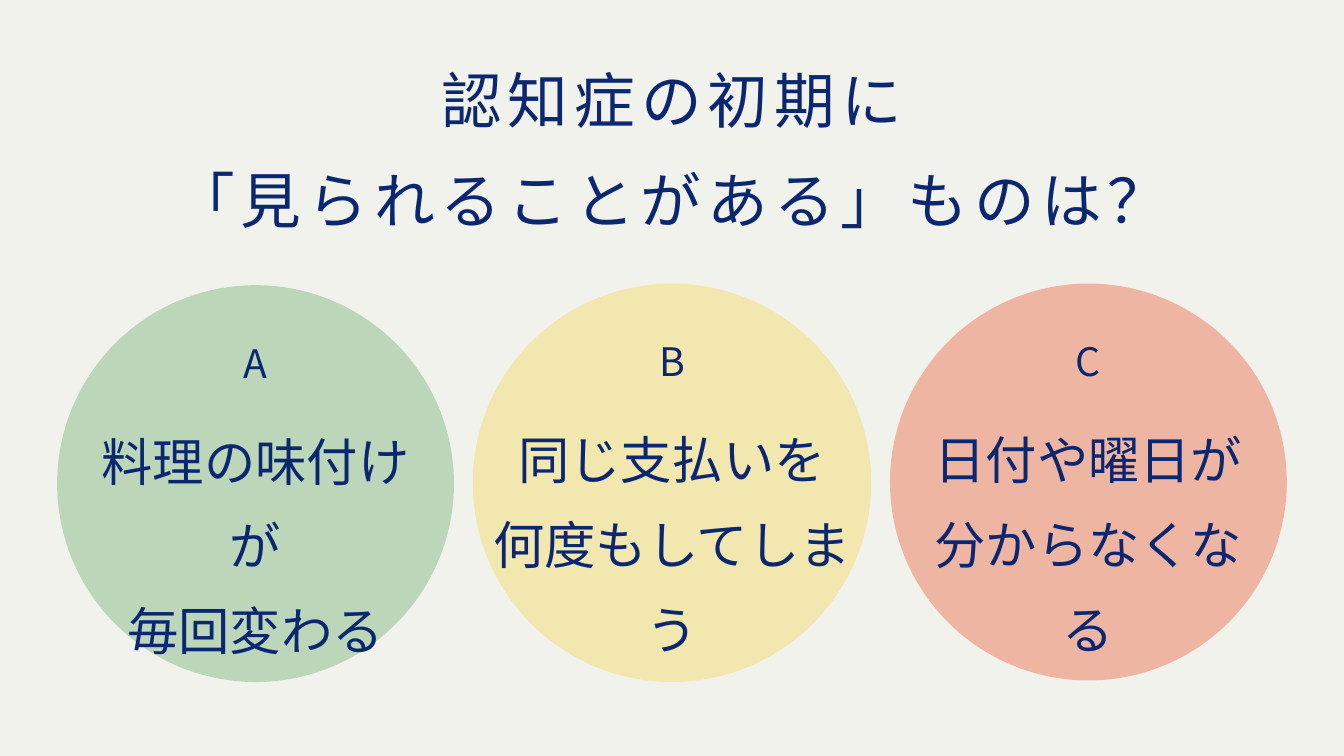
from lxml import etree
from pptx import Presentation
from pptx.dml.color import RGBColor
from pptx.enum.shapes import MSO_SHAPE
from pptx.enum.text import MSO_ANCHOR, MSO_AUTO_SIZE, PP_ALIGN
from pptx.oxml.ns import qn
from pptx.util import Cm, Pt

FONT = "Noto Sans CJK JP"
COLORS = {
    "background": "F2F2EC",
    "text": "0B2770",
    "green": "87BC8A",
    "yellow": "F2DD74",
    "red": "ED7A5B",
}
ANSWERS = [
    ("A", ["料理の味付けが", "毎回変わる"], "green", 10.78, 15, 13.36),
    ("B", ["同じ支払いを", "何度もしてしまう"], "yellow", 10.72, 15.06, 13.84),
    ("C", ["日付や曜日が", "分からなくなる"], "red", 10.72, 15, 13.36),
]
FIRST_CENTER = 9.66
PITCH = 15.74


def color(name):
    return RGBColor.from_string(COLORS[name])


def write_text(shape, lines, size, line_spacing, tracking=0):
    frame = shape.text_frame
    frame.word_wrap = True
    frame.auto_size = MSO_AUTO_SIZE.NONE
    frame.vertical_anchor = MSO_ANCHOR.TOP
    frame.margin_left = frame.margin_right = 0
    frame.margin_top = frame.margin_bottom = 0
    for index, line in enumerate(lines):
        paragraph = frame.paragraphs[0] if index == 0 else frame.add_paragraph()
        paragraph.alignment = PP_ALIGN.CENTER
        paragraph.line_spacing = Pt(line_spacing)
        paragraph.space_before = Pt(0)
        run = paragraph.add_run()
        run.text = line
        run.font.size = Pt(size)
        run.font.name = FONT
        run.font.color.rgb = color("text")
        properties = run.font._element
        etree.SubElement(properties, qn("a:ea")).set("typeface", FONT)
        if tracking:
            properties.set("spc", str(int(tracking * 100)))


def add_label(slide, lines, left, top, width, height, **text_format):
    box = slide.shapes.add_textbox(Cm(left), Cm(top), Cm(width), Cm(height))
    write_text(box, lines, **text_format)


def add_question(slide, lines, left, top, width, height):
    title = slide.shapes.title
    title.left, title.top = Cm(left), Cm(top)
    title.width, title.height = Cm(width), Cm(height)
    write_text(title, lines, size=65, line_spacing=107.2, tracking=6.5)


def add_answer(slide, letter, lines, fill, center, top, diameter, text_width):
    circle = slide.shapes.add_shape(
        MSO_SHAPE.OVAL, Cm(center - diameter / 2), Cm(top), Cm(diameter), Cm(diameter)
    )
    circle.shadow.inherit = False
    circle.line.fill.background()
    circle.fill.solid()
    circle.fill.fore_color.rgb = color(fill)
    rgb = circle._element.spPr.find(".//" + qn("a:srgbClr"))
    etree.SubElement(rgb, qn("a:alpha")).set("val", "50000")

    letter_width = 6.48
    add_label(slide, [letter], center - letter_width / 2, top + 1.38,
              letter_width, 2.16, size=42, line_spacing=69.3)
    add_label(slide, lines, center - text_width / 2, top + 4.6,
              text_width, 5.97, size=55, line_spacing=90.7)


def main():
    presentation = Presentation()
    presentation.slide_width = Cm(50.8)
    presentation.slide_height = Cm(28.575)
    slide = presentation.slides.add_slide(presentation.slide_layouts[5])
    slide.background.fill.solid()
    slide.background.fill.fore_color.rgb = color("background")

    add_question(slide, ["認知症の初期に", "「見られることがある」ものは？"],
                 6.43, 1.35, 37.92, 7.26)
    for index, (letter, lines, fill, top, diameter, text_width) in enumerate(ANSWERS):
        add_answer(slide, letter, lines, fill, FIRST_CENTER + index * PITCH,
                   top, diameter, text_width)
    presentation.save("out.pptx")


if __name__ == "__main__":
    main()
